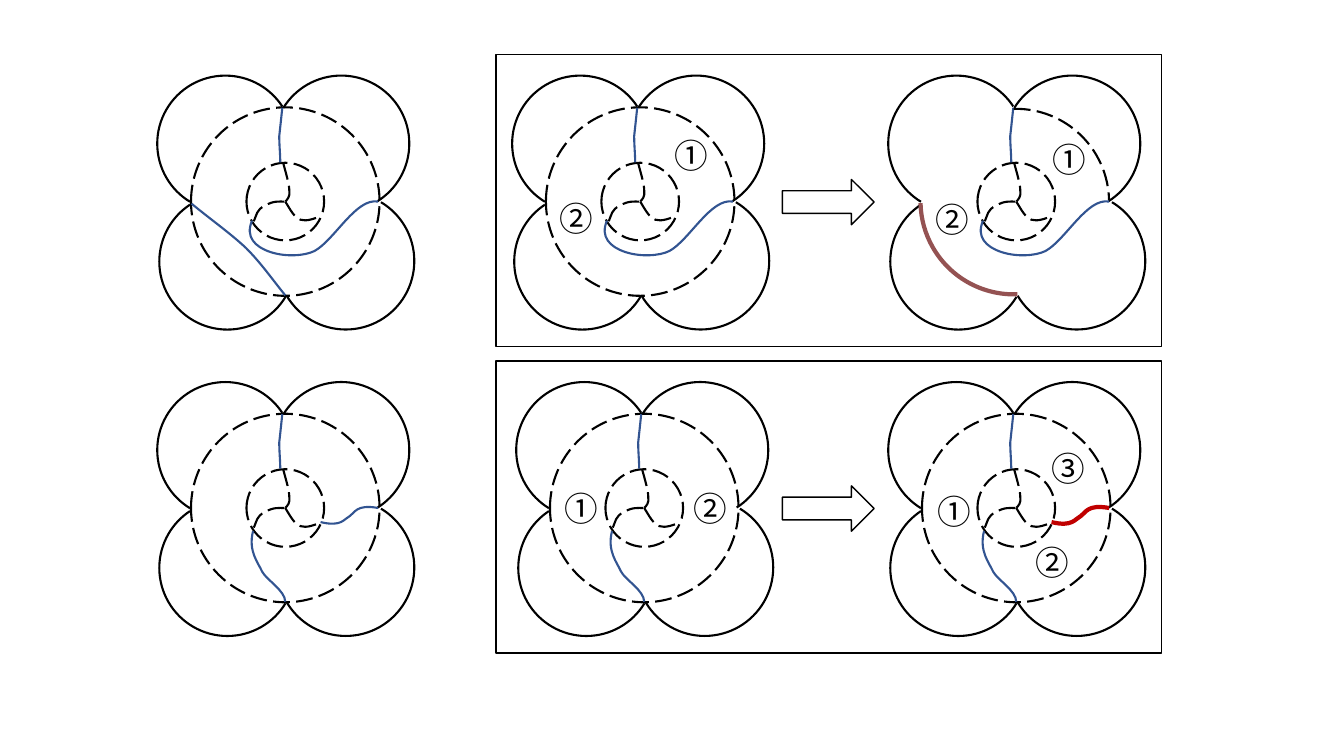
from dataclasses import dataclass
from itertools import product
from typing import Any, NamedTuple

import pptx
import pptx.dml.color
import pptx.enum.dml
import pptx.enum.shapes
import pptx.enum.text
import pptx.oxml
import pptx.oxml.ns
import pptx.util

COLORS = {"ink": "000000", "strand": "325491", "rim": "945252", "cut": "C00000"}
FONT = "Noto Sans CJK SC"
SHAPE = pptx.enum.shapes.MSO_SHAPE

# The grid has 13.33 columns and 7.5 rows of one inch.
COLUMNS, ROWS = 13.33, 7.5
ROW_TOP, ROW_STEP = 2.0, 3.04
FIRST, SECOND, SECOND_LOW, THIRD = 2.83, 6.35, 6.39, 10.08


class Pen(NamedTuple):
    color: str = "ink"
    width: float = 1.5
    dashed: bool = False


class Arc(NamedTuple):
    """Left, top and size from the flower's centre; angles in degrees."""
    x: float
    y: float
    size: float
    start: float
    end: float
    pen: Pen = Pen()


class Label(NamedTuple):
    text: str
    x: float
    y: float


class Strand(NamedTuple):
    """A start point followed by triples of Bezier points."""
    points: tuple[tuple[float, float], ...]
    pen: Pen


@dataclass(frozen=True)
class Flower:
    x: float
    row: int
    strands: tuple[Strand, ...]
    labels: tuple[Label, ...] = ()
    arcs: tuple[Arc, ...] = ()
    ring: bool = True

    @property
    def y(self) -> float:
        return ROW_TOP + self.row * ROW_STEP


DASHED, BLUE = Pen(dashed=True), Pen("strand")

PETALS = (
    Arc(-0.12, -1.25, 1.35, 211.7, 57.6),
    Arc(-1.27, -1.25, 1.35, 121.3, 326.82),
    Arc(-1.25, -0.08, 1.35, 31.33, 236.65),
    Arc(-0.08, -0.09, 1.36, 300.94, 149.46),
)
SPOKES = (
    Strand(((-0.02, -0.38), (0.01, -0.27), (0.04, -0.17), (0.04, -0.11),
            (0.05, -0.05), (0.02, -0.02), (0, 0)), DASHED),
    Strand(((-0.01, 0), (-0.06, 0), (-0.12, -0.01), (-0.2, 0.04),
            (-0.29, 0.08), (-0.28, 0.13), (-0.32, 0.21)), DASHED),
    Strand(((0, 0), (0.05, 0.08), (0.09, 0.16), (0.15, 0.18),
            (0.21, 0.2), (0.29, 0.17), (0.36, 0.14)), DASHED),
)
TOP = Strand(((-0.03, -0.93), (-0.04, -0.83), (-0.05, -0.74), (-0.06, -0.65),
              (-0.06, -0.56), (-0.05, -0.47), (-0.05, -0.39)), BLUE)
CHORD = Strand(((-0.93, 0.02), (-0.75, 0.17), (-0.55, 0.31), (-0.39, 0.46),
                (-0.24, 0.61), (-0.13, 0.77), (0, 0.93)), BLUE)
SWEEP = Strand(((-0.33, 0.19), (-0.4, 0.35), (-0.3, 0.45), (-0.15, 0.5),
                (0, 0.55), (0.19, 0.54), (0.29, 0.49),
                (0.49, 0.38), (0.7, -0.04), (0.92, 0)), BLUE)
TAIL = Strand(((-0.32, 0.23), (-0.37, 0.43), (-0.27, 0.54), (-0.23, 0.63),
               (-0.19, 0.71), (0, 0.82), (0, 0.93)), BLUE)
WAVE = Strand(((0.35, 0.14), (0.56, 0.19), (0.58, 0.11), (0.64, 0.08),
               (0.69, 0.05), (0.7, -0.04), (0.92, 0)), BLUE)

FLOWERS = (
    Flower(FIRST, 0, (TOP, CHORD, SWEEP)),
    Flower(SECOND, 0, (TOP, SWEEP),
           (Label("①", 0.24, -0.71), Label("②", -0.9, -0.09))),
    Flower(THIRD, 0, (TOP, SWEEP),
           (Label("①", 0.26, -0.67), Label("②", -0.9, -0.08)),
           (Arc(-0.95, -0.93, 1.85, 87.72, 178.73, Pen("rim", 3)),
            Arc(-0.93, -0.92, 1.85, 268.72, 358.66, DASHED)), ring=False),
    Flower(FIRST, 1, (TOP, TAIL, WAVE)),
    Flower(SECOND_LOW, 1, (TOP, TAIL),
           (Label("①", -0.89, -0.25), Label("②", 0.39, -0.25))),
    Flower(THIRD, 1, (TOP, TAIL, WAVE._replace(pen=Pen("cut", 3))),
           (Label("①", -0.88, -0.22), Label("②", 0.09, 0.29),
            Label("③", 0.25, -0.65))),
)


def grid(value: float) -> pptx.util.Emu:
    return pptx.util.Inches(value)


def outline(sp: Any, pen: Pen) -> None:
    sp.shadow.inherit = False
    sp.fill.background()
    sp.line.color.rgb = pptx.dml.color.RGBColor.from_string(COLORS[pen.color])
    sp.line.width = pptx.util.Pt(pen.width)
    if pen.dashed:
        sp.line.dash_style = pptx.enum.dml.MSO_LINE.LONG_DASH


def add_outline(shapes: Any, kind: Any, x: float, y: float, w: float, h: float,
                pen: Pen) -> Any:
    sp = shapes.add_shape(kind, grid(x), grid(y), grid(w), grid(h))
    outline(sp, pen)
    return sp


def add_arc(shapes: Any, flower: Flower, arc: Arc) -> None:
    sp = add_outline(shapes, SHAPE.ARC, flower.x + arc.x, flower.y + arc.y,
                     arc.size, arc.size, arc.pen)
    for i, degrees in enumerate((arc.start, arc.end)):
        sp.adjustments[i] = degrees * 0.6  # 60000 units a degree, over 100000


def add_strand(shapes: Any, flower: Flower, strand: Strand) -> None:
    start, *rest = [(grid(flower.x + x), grid(flower.y + y)) for x, y in strand.points]
    builder = shapes.build_freeform(*start)
    builder.add_line_segments(rest, close=False)
    sp = builder.convert_to_shape()
    outline(sp, strand.pen)
    # Turn every three line points into one Bezier segment
    qn = pptx.oxml.ns.qn
    lines = list(sp._element.iter(qn("a:lnTo")))
    for i in range(0, len(lines), 3):
        curve = lines[i].makeelement(qn("a:cubicBezTo"), {})
        lines[i].addprevious(curve)
        for line in lines[i:i + 3]:
            curve.append(line[0])
            line.getparent().remove(line)


def add_label(shapes: Any, flower: Flower, label: Label) -> None:
    sp = shapes.add_textbox(grid(flower.x + label.x), grid(flower.y + label.y),
                            grid(0.54), grid(0.5))
    tf = sp.text_frame
    tf.word_wrap = False
    tf.auto_size = pptx.enum.text.MSO_AUTO_SIZE.SHAPE_TO_FIT_TEXT
    p = tf.paragraphs[0]
    p.text = label.text
    p.font.size = pptx.util.Pt(24)
    p.font.name = FONT
    p.font.color.rgb = pptx.dml.color.RGBColor.from_string(COLORS["ink"])
    qn = pptx.oxml.ns.qn
    latin = next(p._p.iter(qn("a:latin")))
    latin.addnext(latin.makeelement(qn("a:ea"), {"typeface": FONT}))


def add_flower(shapes: Any, flower: Flower) -> None:
    group = shapes.add_group_shape().shapes
    for size in ((1.87, 0.77) if flower.ring else (0.77,)):
        add_outline(group, SHAPE.OVAL, flower.x - size / 2, flower.y - size / 2,
                    size, size, DASHED)
    for petal in PETALS:
        add_arc(group, flower, petal)
    for strand in SPOKES + flower.strands:
        add_strand(shapes, flower, strand)
    for arc in flower.arcs:
        add_arc(shapes, flower, arc)
    for label in flower.labels:
        add_label(shapes, flower, label)


def main() -> None:
    prs = pptx.Presentation()
    prs.slide_width, prs.slide_height = grid(COLUMNS), grid(ROWS)
    shapes = prs.slides.add_slide(prs.slide_layouts[6]).shapes

    # Flowers with their strands and labels
    for flower in FLOWERS:
        add_flower(shapes, flower)

    # A frame and an arrow in each row
    parts = ((SHAPE.RECTANGLE, 4.92, 0.54, 6.6, 2.9),
             (SHAPE.RIGHT_ARROW, 7.76, 1.78, 0.91, 0.45))
    for row, (kind, x, y, w, h) in product(range(2), parts):
        add_outline(shapes, kind, x, y + row * ROW_STEP, w, h, Pen(width=1))

    prs.save("out.pptx")


if __name__ == "__main__":
    main()
